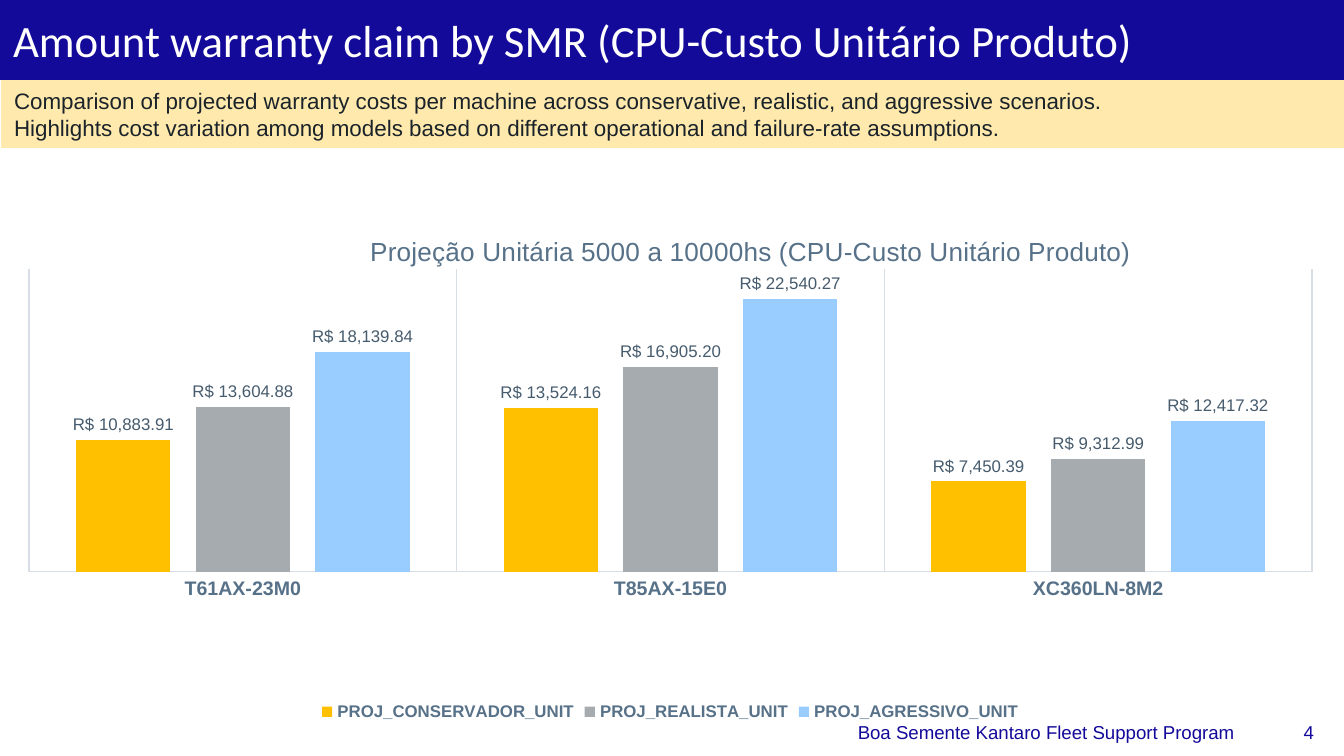
from lxml import etree
from pptx import Presentation
from pptx import util as u
from pptx.chart.data import CategoryChartData
from pptx.dml.color import RGBColor
from pptx.enum import chart as ch, shapes, text
from pptx.oxml.ns import qn

NAVY = RGBColor(0x14, 0x0A, 0x9A)
CREAM = RGBColor(0xFF, 0xE9, 0xAC)
WHITE = RGBColor(0xFF, 0xFF, 0xFF)
INK = RGBColor(0x1B, 0x23, 0x2A)
SLATE = RGBColor(0x57, 0x71, 0x88)
LABEL = RGBColor(0x46, 0x5B, 0x6D)
RULE = RGBColor(0xD7, 0xDE, 0xE5)
AMBER = RGBColor(0xFF, 0xC0, 0x00)
GRAY = RGBColor(0xA5, 0xAB, 0xAF)
SKY = RGBColor(0x99, 0xCC, 0xFF)

WIDTH, HEIGHT = 1344, 756
PX = u.Inches(10) / WIDTH
MONEY = '"R$" #,##0.00'

MODELS = ["T61AX-23M0", "T85AX-15E0", "XC360LN-8M2"]
SCENARIOS = [
    ("PROJ_CONSERVADOR_UNIT", AMBER, [10883.91, 13524.16, 7450.39]),
    ("PROJ_REALISTA_UNIT", GRAY, [13604.88, 16905.20, 9312.99]),
    ("PROJ_AGRESSIVO_UNIT", SKY, [18139.84, 22540.27, 12417.32]),
]
SUMMARY = [
    "Comparison of projected warranty costs per machine across "
    "conservative, realistic, and aggressive scenarios.",
    "Highlights cost variation among models based on different "
    "operational and failure‑rate assumptions.",
]


def px(*lengths):
    return [u.Emu(round(length * PX)) for length in lengths]


def style_font(font, color, **values):
    for name, value in {"name": "Arial", "bold": False, **values}.items():
        setattr(font, name, value)
    font.color.rgb = color


def style_line(line, color, width):
    line.color.rgb = color
    line.width = u.Pt(width)


def pin(parent, index, **values):
    """Give a chart part a manual layout in fractions of the chart."""
    for old in parent.findall(qn("c:layout")):
        parent.remove(old)
    layout = etree.Element(qn("c:layout"))
    parent.insert(index, layout)
    manual = etree.SubElement(layout, qn("c:manualLayout"))
    for tag, value in values.items():
        etree.SubElement(manual, qn(f"c:{tag}")).set("val", str(value))


class SlideBuilder:
    """Holds the slide and the style shared by its elements."""

    def __init__(self, deck):
        self.slide = deck.slides.add_slide(deck.slide_layouts[5])
        self.shapes = self.slide.shapes

    def set_text(self, shape, lines, color, size, align=text.PP_ALIGN.LEFT,
                 font="Arial", inset=13):
        frame = shape.text_frame
        side, edge = px(inset, 7)
        settings = {
            "word_wrap": True, "auto_size": text.MSO_AUTO_SIZE.NONE,
            "vertical_anchor": text.MSO_ANCHOR.MIDDLE,
            "margin_left": side, "margin_right": side,
            "margin_top": edge, "margin_bottom": edge,
        }
        for name, value in settings.items():
            setattr(frame, name, value)
        frame.text = "\n".join(lines)
        for para in frame.paragraphs:
            para.alignment = align
            for span in para.runs:
                style_font(span.font, color, name=font, size=u.Pt(size))

    def title(self, place, words):
        title = self.shapes.title
        title.left, title.top, title.width, title.height = px(*place)
        self.set_text(title, [words], WHITE, 24, font="Calibri")
        title.element.getparent().append(title.element)  # in front of the bar

    def band(self, place, color):
        box = self.shapes.add_shape(shapes.MSO_SHAPE.RECTANGLE, *px(*place))
        box.shadow.inherit = False
        box.fill.solid()
        box.fill.fore_color.rgb = color
        box.line.fill.background()
        return box

    def rule(self, ends, color):
        line = self.shapes.add_connector(shapes.MSO_CONNECTOR.STRAIGHT, *px(*ends))
        style_line(line.line, color, 0.5)
        etree.SubElement(line.element.spPr, qn("a:effectLst"))

    def footer(self, place, words, inset=13):
        box = self.shapes.add_textbox(*px(*place))
        self.set_text(box, [words], NAVY, 10, text.PP_ALIGN.RIGHT, inset=inset)

    def column_chart(self, place, heading, categories, series):
        data = CategoryChartData(number_format=MONEY)
        data.categories = categories
        for name, _, values in series:
            data.add_series(name, values)
        chart = self.shapes.add_chart(
            ch.XL_CHART_TYPE.COLUMN_CLUSTERED, *px(*place), data).chart
        style_font(chart.font, INK, size=u.Pt(10))

        chart.has_title = True
        chart.chart_title.text_frame.text = heading
        span = chart.chart_title.text_frame.paragraphs[0].runs[0]
        style_font(span.font, SLATE, size=u.Pt(14))
        area = chart.element.find(".//" + qn("c:plotArea"))
        pin(area.getparent().find(qn("c:title")), 1,
            xMode="edge", yMode="edge", x=0.27, y=0.02)
        pin(area, 0, layoutTarget="inner", xMode="edge", yMode="edge",
            x=0.016, y=0.097, w=0.969, h=0.597)

        chart.has_legend = True
        chart.legend.position = ch.XL_LEGEND_POSITION.BOTTOM
        chart.legend.include_in_layout = False
        style_font(chart.legend.font, SLATE, size=u.Pt(9), bold=True)

        axis = chart.category_axis
        axis.major_tick_mark = ch.XL_TICK_MARK.NONE
        axis.has_major_gridlines = True
        style_font(axis.tick_labels.font, SLATE, size=u.Pt(10.5), bold=True)
        for line in (axis.format.line, axis.major_gridlines.format.line):
            style_line(line, RULE, 0.75)
        scale = {"visible": False, "has_major_gridlines": False,
                 "minimum_scale": 0, "maximum_scale": 25000}
        for name, value in scale.items():
            setattr(chart.value_axis, name, value)

        plot = chart.plots[0]
        plot.gap_width, plot.overlap, plot.vary_by_categories = 100, -27, False
        for bars, (_, color, _) in zip(plot.series, series):
            bars.format.fill.solid()
            bars.format.fill.fore_color.rgb = color
            labels = bars.data_labels
            settings = {"show_value": True, "number_format": MONEY,
                        "number_format_is_linked": False,
                        "position": ch.XL_LABEL_POSITION.OUTSIDE_END}
            for name, value in settings.items():
                setattr(labels, name, value)
            style_font(labels.font, LABEL, size=u.Pt(9))


def main():
    deck = Presentation()
    deck.slide_width, deck.slide_height = px(WIDTH, HEIGHT)
    page = SlideBuilder(deck)
    page.rule((0, 80, WIDTH, 80), NAVY)
    page.band((0, 0, WIDTH, 80), NAVY)
    page.footer((1234, 714, 80, 36), "4", inset=0)
    page.footer((642, 714, 605, 36), "Boa Semente Kantaro Fleet Support Program")
    page.column_chart((8, 220, 1324, 507),
                      "Projeção Unitária 5000 a 10000hs (CPU-Custo Unitário Produto)",
                      MODELS, SCENARIOS)
    page.title((0, 6, 1316, 68),
               "Amount warranty claim by SMR (CPU-Custo Unitário Produto)")
    summary = page.band((1, 80, WIDTH - 1, 68), CREAM)
    page.set_text(summary, SUMMARY, INK, 12)
    deck.save("out.pptx")


if __name__ == "__main__":
    main()
